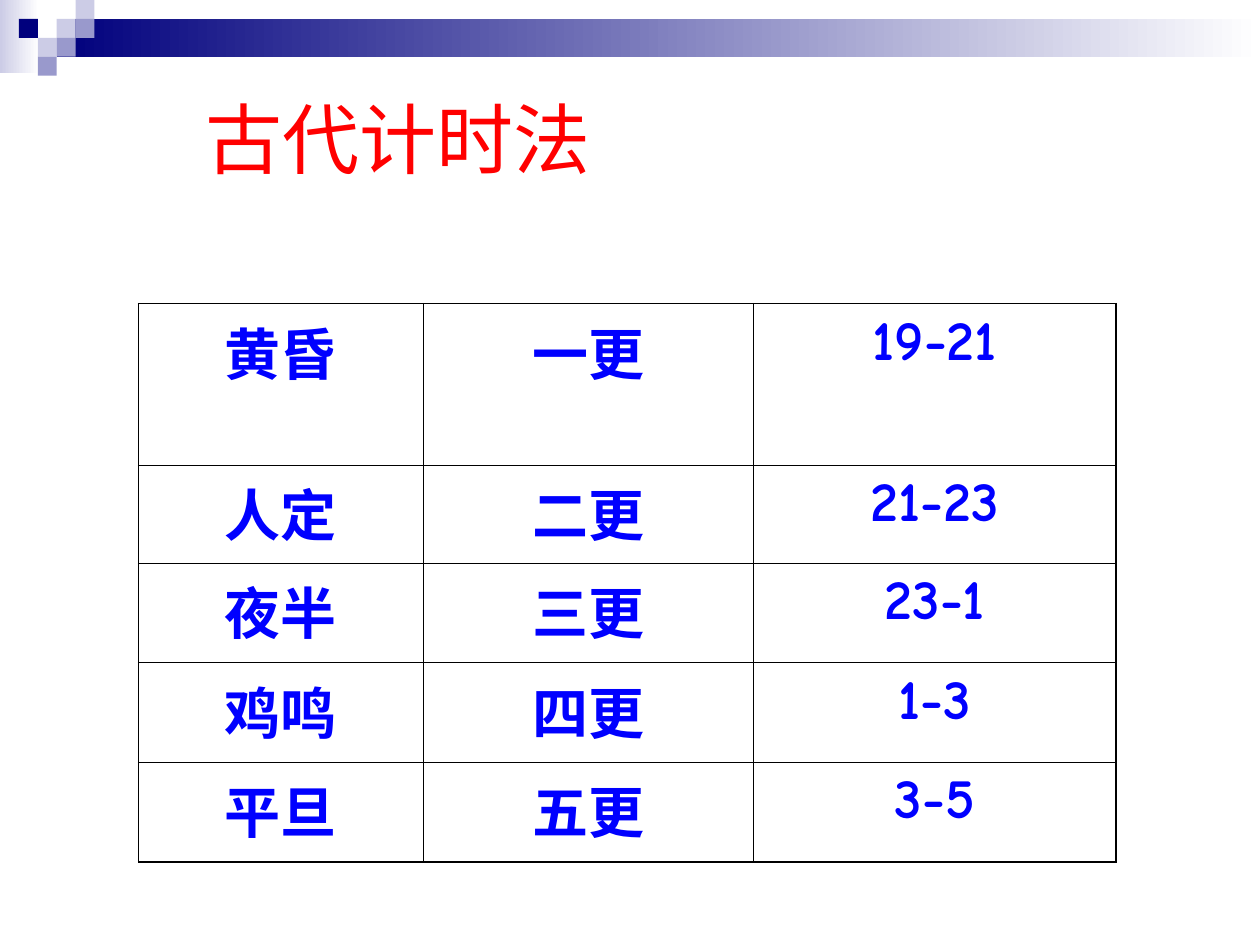
from dataclasses import dataclass

from lxml.etree import SubElement
from pptx import Presentation
from pptx.dml.color import RGBColor as RGB
from pptx.enum.shapes import MSO_SHAPE as Shape
from pptx.enum.text import MSO_AUTO_SIZE as Auto, PP_ALIGN as Align
from pptx.oxml.ns import qn
from pptx.util import Emu, Pt

PX = 9144  # 100 px to the inch


@dataclass(frozen=True)
class Theme:
    navy: str = "00007D"
    mid: str = "9999CC"
    pale: str = "CCCCE6"
    white: str = "FFFFFF"
    title: str = "FF0000"
    body: str = "0000FF"
    rule: str = "000000"
    title_font: str = "Times New Roman"
    body_font: str = "Comic Neue"
    title_size: int = 44
    body_size: int = 32
    thick: float = 1.08
    thin: float = 0.45


THEME = Theme()
ROWS = [
    ("黄昏", "一更", "19-21"),
    ("人定", "二更", "21-23"),
    ("夜半", "三更", "23-1"),
    ("鸡鸣", "四更", "1-3"),
    ("平旦", "五更", "3-5"),
]


def px(*nums):
    return [Emu(n * PX) for n in nums]


def style(para, face, size, color, bold=False):
    font = para.font
    font.name, font.size, font.bold = face, Pt(size), bold
    font.color.rgb = RGB.from_string(color)


def block(shapes, box, *colors):
    """Add a borderless rectangle: one colour is solid, two fade left to right."""
    rect = shapes.add_shape(Shape.RECTANGLE, *px(*box))
    rect.shadow.inherit = False
    rect.line.fill.background()
    if len(colors) == 1:
        rect.fill.solid()
        rect.fill.fore_color.rgb = RGB.from_string(colors[0])
        return
    rect.fill.gradient()
    rect.fill.gradient_angle = 0
    for stop, color in zip(rect.fill.gradient_stops, colors):
        stop.color.rgb = RGB.from_string(color)


def banner(slide, box):
    left, top, width, _ = box
    unit = 15
    shapes = slide.shapes.add_group_shape().shapes
    block(shapes, (left, top, 31, 58), THEME.pale, THEME.white)
    block(shapes, (left + 3 * unit, top + unit, width - 3 * unit, 2 * unit),
          THEME.navy, THEME.white)
    tiles = [
        (3, 1, THEME.pale), (4, 0, THEME.pale), (4, 1, THEME.mid),
        (2, 2, THEME.pale), (1, 1, THEME.navy), (3, 2, THEME.mid),
        (2, 3, THEME.mid),
    ]
    for col, row, color in tiles:
        block(shapes, (left + col * unit, top + row * unit, unit, unit), color)


def title(slide, box, text):
    frame = slide.shapes.add_textbox(*px(*box)).text_frame
    frame.word_wrap = True
    frame.auto_size = Auto.SHAPE_TO_FIT_TEXT
    para = frame.paragraphs[0]
    para.text = text
    style(para, THEME.title_font, THEME.title_size, THEME.title)


def border(cell, outer):
    """Rule all four sides, thicker where the side is on the table's edge."""
    props = cell._tc.get_or_add_tcPr()
    for side, edge in zip("LRTB", outer):
        width = Pt(THEME.thick if edge else THEME.thin)
        line = SubElement(props, qn(f"a:ln{side}"), w=str(width))
        fill = SubElement(line, qn("a:solidFill"))
        SubElement(fill, qn("a:srgbClr"), val=THEME.rule)


def hours(slide, box, rows, widths, heights):
    grid = slide.shapes.add_table(len(rows), len(widths), *px(*box)).table
    grid.first_row = grid.horz_banding = False
    for col, width in zip(grid.columns, px(*widths)):
        col.width = width
    for row, height in zip(grid.rows, px(*heights)):
        row.height = height
    for r, row in enumerate(rows):
        for c, text in enumerate(row):
            cell = grid.cell(r, c)
            border(cell, (c == 0, c == len(row) - 1,
                          r == 0, r == len(rows) - 1))
            cell.fill.background()
            para = cell.text_frame.paragraphs[0]
            para.text = text
            para.alignment = Align.CENTER
            style(para, THEME.body_font, THEME.body_size, THEME.body, True)


def main():
    deck = Presentation()
    deck.slide_width, deck.slide_height = px(1000, 750)
    slide = deck.slides.add_slide(deck.slide_layouts[6])
    banner(slide, (0, 0, 1000, 60))
    hours(slide, (110, 241, 776, 442), ROWS,
          (226, 262, 288), (128, 78, 79, 79, 79))
    title(slide, (153, 68, 575, 84), "古代计时法")
    deck.save("out.pptx")


if __name__ == "__main__":
    main()
